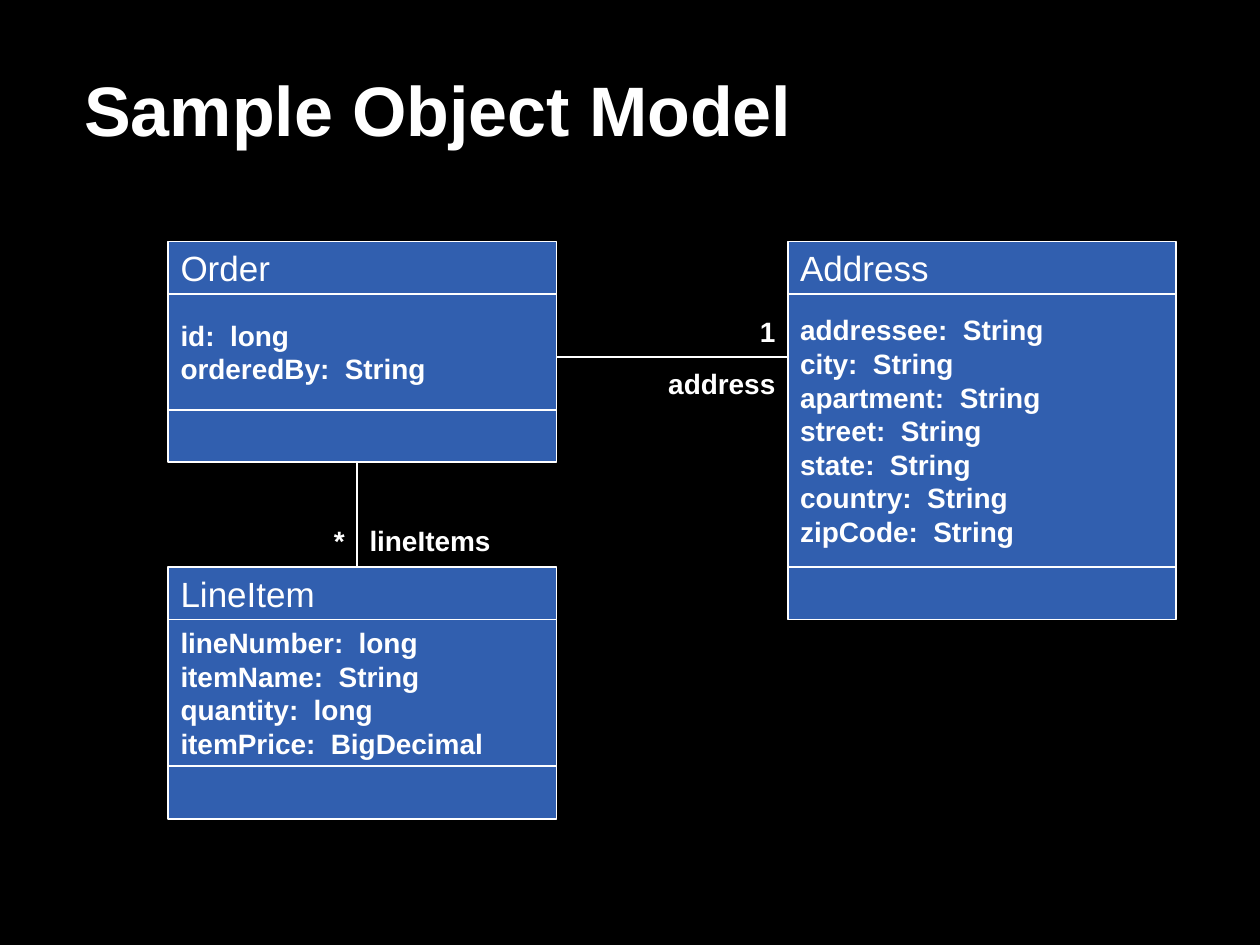
from pptx import Presentation
from pptx.dml.color import RGBColor
from pptx.enum.shapes import MSO_CONNECTOR, MSO_SHAPE
from pptx.enum.text import MSO_ANCHOR, PP_ALIGN
from pptx.oxml.ns import qn
from pptx.util import Cm, Pt
from lxml.etree import SubElement

BLACK = RGBColor(0x00, 0x00, 0x00)
WHITE = RGBColor(0xFF, 0xFF, 0xFF)
BLUE = RGBColor(0x31, 0x5F, 0xAF)

ROW_HEIGHT = 1.06
CLASS_WIDTH = 7.83
LEFT_COLUMN, RIGHT_COLUMN = 3.39, 15.88
TOP_ROW, BOTTOM_ROW = 4.87, 11.43
ORDER_ATTRIBUTES_HEIGHT = 2.33


class DiagramSlide:
    font_name = "Arial"
    name_size = Pt(20)
    member_size = Pt(16)
    line_width = Pt(1)

    def __init__(self, presentation):
        self.slide = presentation.slides.add_slide(presentation.slide_layouts[5])
        background = self.slide.background.fill
        background.solid()
        background.fore_color.rgb = BLACK

    def set_text(self, shape, lines, size, bold=True, align=PP_ALIGN.LEFT):
        frame = shape.text_frame
        frame.word_wrap = True
        frame.vertical_anchor = MSO_ANCHOR.MIDDLE
        frame.text = "\n".join(lines)
        for paragraph in frame.paragraphs:
            paragraph.alignment = align
            font = paragraph.font
            font.name, font.size, font.bold = self.font_name, size, bold
            font.color.rgb = WHITE

    def title(self, text):
        shape = self.slide.shapes.title
        shape.left, shape.top = Cm(1.7), Cm(0.85)
        shape.width, shape.height = Cm(20.75), Cm(2.96)
        self.set_text(shape, [text], Pt(40))
        frame = shape.text_frame
        frame.margin_left = frame.margin_right = 0
        frame.margin_top = frame.margin_bottom = 0
        frame.paragraphs[0].line_spacing = 0.85

    def uml_class(self, name, attributes, left, top, attributes_height):
        """Stack the name, attribute and (empty) operation compartments."""
        group = self.slide.shapes.add_group_shape()
        compartments = [
            ([name], ROW_HEIGHT, self.name_size, False),
            (attributes, attributes_height, self.member_size, True),
            ([], ROW_HEIGHT, self.member_size, True),
        ]
        for lines, height, size, bold in compartments:
            shape = group.shapes.add_shape(
                MSO_SHAPE.RECTANGLE, Cm(left), Cm(top), Cm(CLASS_WIDTH), Cm(height))
            shape.shadow.inherit = False
            shape.fill.solid()
            shape.fill.fore_color.rgb = BLUE
            shape.line.color.rgb = WHITE
            shape.line.width = self.line_width
            if lines:
                self.set_text(shape, lines, size, bold)
            top += height

    def association(self, start, end):
        connector = self.slide.shapes.add_connector(
            MSO_CONNECTOR.STRAIGHT, *map(Cm, start + end))
        connector.line.color.rgb = WHITE
        connector.line.width = self.line_width
        SubElement(connector._element.spPr, qn("a:effectLst"))

    def label(self, text, left, top, width, align=PP_ALIGN.LEFT):
        box = self.slide.shapes.add_textbox(
            Cm(left), Cm(top), Cm(width), Cm(ROW_HEIGHT))
        self.set_text(box, [text], self.member_size, align=align)


def main():
    presentation = Presentation()
    presentation.slide_width, presentation.slide_height = Cm(25.4), Cm(19.05)
    diagram = DiagramSlide(presentation)
    diagram.title("Sample Object Model")

    diagram.uml_class(
        "Address",
        ["addressee:  String", "city:  String", "apartment:  String",
         "street:  String", "state:  String", "country:  String",
         "zipCode:  String"],
        RIGHT_COLUMN, TOP_ROW, 5.5)
    diagram.uml_class(
        "LineItem",
        ["lineNumber:  long", "itemName:  String", "quantity:  long",
         "itemPrice:  BigDecimal"],
        LEFT_COLUMN, BOTTOM_ROW, 2.96)
    diagram.uml_class(
        "Order", ["id:  long", "orderedBy:  String"],
        LEFT_COLUMN, TOP_ROW, ORDER_ATTRIBUTES_HEIGHT)

    address_y, items_x = 7.2, 7.2
    role_width = 2.75
    diagram.association((LEFT_COLUMN + CLASS_WIDTH, address_y),
                        (RIGHT_COLUMN, address_y))
    role_left = RIGHT_COLUMN - role_width
    diagram.label("address", role_left, address_y, role_width, PP_ALIGN.RIGHT)
    diagram.label("1", role_left, address_y - ROW_HEIGHT, role_width, PP_ALIGN.RIGHT)

    order_bottom = TOP_ROW + 2 * ROW_HEIGHT + ORDER_ATTRIBUTES_HEIGHT
    diagram.association((items_x, order_bottom), (items_x, BOTTOM_ROW))
    role_top = BOTTOM_ROW - ROW_HEIGHT
    diagram.label("*", items_x - role_width, role_top, role_width, PP_ALIGN.RIGHT)
    diagram.label("lineItems", items_x, role_top, 4.66)

    presentation.save("out.pptx")


if __name__ == "__main__":
    main()
